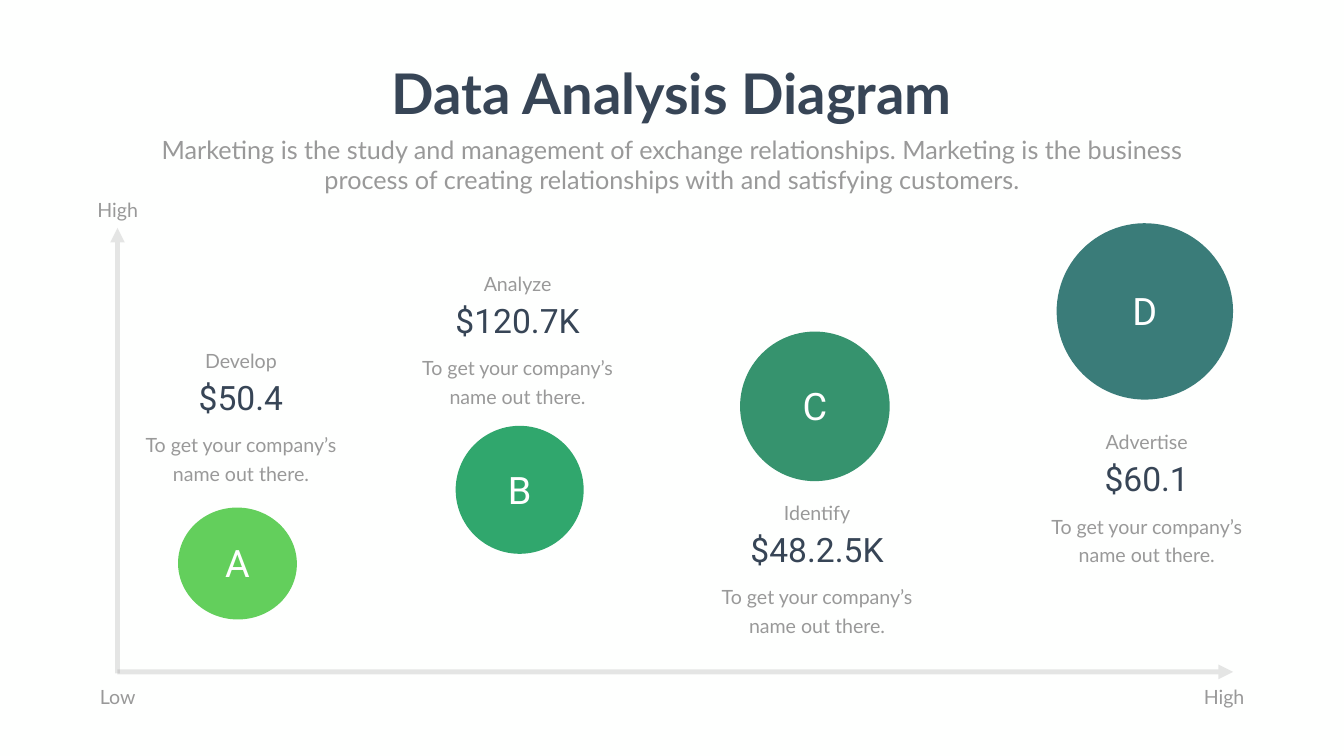
"""Build the Data Analysis Diagram slide: four lettered circles on a low-to-high chart."""
from lxml import etree
from pptx import Presentation
from pptx import util as u
from pptx.dml.color import RGBColor
from pptx.enum import shapes, text
from pptx.oxml.ns import qn

DARK, GREY, AXIS, WHITE = "374556", "999999", "808080", "FFFFFF"
BODY = "To get your company’s name out there."

# letter, colour, circle (left, top, width, height), name, value, callout (centre, top)
STAGES = [
    ("A", "63CF5C", (8.97, 25.58, 5.99, 5.64), "Develop", "$50.4", (12.14, 17.22)),
    ("B", "30A76D", (22.96, 21.46, 6.45, 6.45), "Analyze", "$120.7K", (26.08, 13.34)),
    ("C", "36936E", (37.29, 16.71, 7.54, 7.54), "Identify", "$48.2.5K", (41.17, 24.87)),
    ("D", "3A7C79", (53.24, 11.25, 8.89, 8.89), "Advertise", "$60.1", (57.78, 21.31)),
]
AXIS_LABELS = [("High", 4.19, 9.83), ("Low", 4.19, 34.37), ("High", 59.94, 34.37)]


def colour(value):
    return RGBColor.from_string(value)


class Canvas:
    """Hold the style and the current slide, and draw each kind of element."""

    def __init__(self, page):
        self.page = page
        self.heading, self.figure = "Lato", "Roboto"

    def background(self, fill):
        self.page.background.fill.solid()
        self.page.background.fill.fore_color.rgb = colour(fill)

    def label(self, words, left, top, width, height, size, ink=GREY, face=None,
              bold=False, leading=None, wrap=True):
        box = self.page.shapes.add_textbox(u.Cm(left), u.Cm(top), u.Cm(width), u.Cm(height))
        frame = box.text_frame
        frame.word_wrap = wrap
        frame.auto_size = text.MSO_AUTO_SIZE.SHAPE_TO_FIT_TEXT
        para = frame.paragraphs[0]
        para.text = words
        para.alignment = text.PP_ALIGN.CENTER
        if leading:
            para.line_spacing = u.Pt(leading)
        font = para.font
        font.name, font.size, font.bold = face or self.heading, u.Pt(size), bold
        font.color.rgb = colour(ink)

    def axis(self, start, end):
        line = self.page.shapes.add_connector(
            shapes.MSO_CONNECTOR.STRAIGHT, *(u.Cm(value) for value in start + end))
        line.line.width = u.Pt(7)
        line.line.color.rgb = colour(AXIS)
        properties = line._element.spPr
        shade = properties.find(".//" + qn("a:srgbClr"))
        etree.SubElement(shade, qn("a:alpha"), val="20000")
        etree.SubElement(properties.find(qn("a:ln")), qn("a:tailEnd"), type="triangle")
        etree.SubElement(properties, qn("a:effectLst"))

    def circle(self, letter, fill, left, top, width, height):
        disc = self.page.shapes.add_shape(
            shapes.MSO_SHAPE.OVAL, u.Cm(left), u.Cm(top), u.Cm(width), u.Cm(height))
        disc.shadow.inherit = False
        disc.rotation = 3
        disc.fill.solid()
        disc.fill.fore_color.rgb = colour(fill)
        disc.line.fill.background()
        box_width, box_height = 5.8, 2.6
        self.label(letter, left + (width - box_width) / 2, top + (height - box_height) / 2,
                   box_width, box_height, 54, WHITE, self.figure)

    def callout(self, name, value, centre, top):
        self.label(name, centre - 2.86, top, 5.72, 1.6, 28, leading=40.8)
        self.label(value, centre - 3.75, top + 1.66, 7.5, 2.31, 48, DARK, self.figure)
        self.label(BODY, centre - 5.3, top + 4.24, 10.6, 3.1, 28, leading=40.8)


def main():
    deck = Presentation()
    deck.slide_width, deck.slide_height = u.Cm(67.72), u.Cm(38.1)
    canvas = Canvas(deck.slides.add_slide(deck.slide_layouts[6]))
    canvas.background("FEFFFE")
    canvas.axis((5.92, 33.86), (62.13, 33.86))
    canvas.axis((5.92, 33.93), (5.92, 11.48))
    for letter, fill, place, name, value, spot in STAGES:
        canvas.circle(letter, fill, *place)
        canvas.callout(name, value, *spot)
    for words, left, top in AXIS_LABELS:
        canvas.label(words, left, top, 3.48, 1.45, 28)
    canvas.label("Data Analysis Diagram", 19.13, 2.84, 29.44, 3.68, 80, DARK,
                 bold=True, wrap=False)
    canvas.label("Marketing is the study and management of exchange relationships. "
                 "Marketing is the business process of creating relationships with "
                 "and satisfying customers.", 7.42, 6.63, 52.88, 3.33, 36)
    deck.save("out.pptx")


if __name__ == "__main__":
    main()
